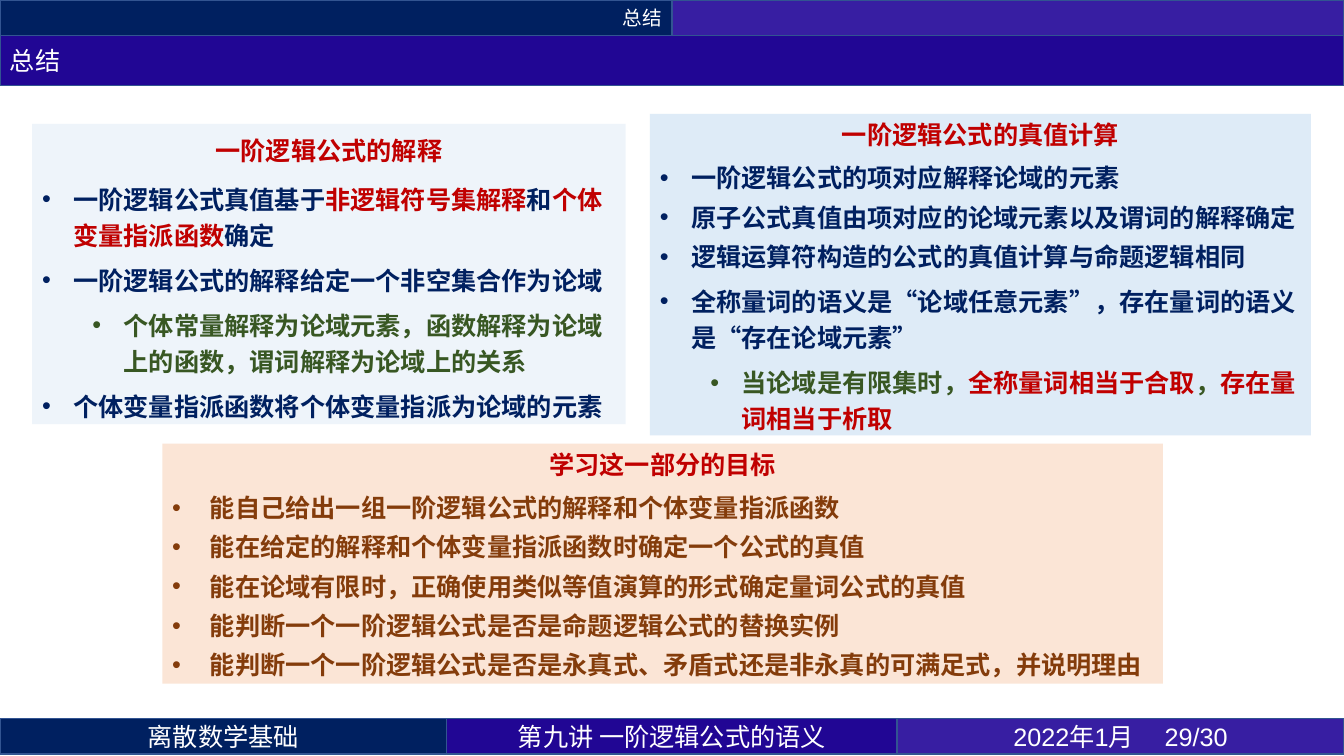
from lxml.etree import SubElement
from pptx import Presentation
from pptx.dml.color import RGBColor
from pptx.enum.lang import MSO_LANGUAGE_ID as Lang
from pptx.enum.shapes import MSO_SHAPE as Shape
from pptx.enum.text import MSO_ANCHOR as Anchor, MSO_AUTO_SIZE as AutoSize, PP_ALIGN as Align
from pptx.oxml.ns import qn
from pptx.util import Cm, Pt

CJK = "Noto Sans CJK SC"
NAVY, INDIGO, VIOLET = "002060", "210694", "371EA2"
RED, GREEN, BROWN = "C00000", "385723", "843C0B"
WHITE, PALE_BLUE, PEACH, EDGE = "FFFFFF", "DEEBF7", "FBE5D6", "325491"
WIDTH, HEIGHT, BAR = 33.87, 19.05, 0.89

deck = Presentation()
deck.slide_width, deck.slide_height = Cm(WIDTH), Cm(HEIGHT)
page = deck.slides.add_slide(deck.slide_layouts[6])


def add_box(left, top, width, height, color):
    box = page.shapes.add_shape(Shape.RECTANGLE, Cm(left), Cm(top), Cm(width), Cm(height))
    box.shadow.inherit = False
    box.fill.solid()
    box.fill.fore_color.rgb = RGBColor.from_string(color)
    box.text_frame.word_wrap = True
    return box


def add_span(para, text, color, size=18, bold=False, latin=CJK):
    span = para.add_run()
    span.text = text
    font = span.font
    font.size, font.bold = Pt(size), bold
    font.language_id = Lang.SIMPLIFIED_CHINESE
    font.color.rgb = RGBColor.from_string(color)
    font.name = latin
    SubElement(font._element, qn("a:ea")).set("typeface", CJK)


# Header, footer and title bars
half, side, foot = WIDTH / 2, 11.26, 18.11
bars = [
    (0, 0, half, BAR, NAVY, "总结", 14, Align.RIGHT, CJK),
    (half, 0, half, BAR, VIOLET, "", 14, Align.LEFT, CJK),
    (0, foot, side, BAR, NAVY, "离散数学基础", 18, Align.CENTER, CJK),
    (side, foot, WIDTH - 2 * side, BAR, INDIGO, "第九讲 一阶逻辑公式的语义", 18, Align.CENTER, CJK),
    (WIDTH - side, foot, side, BAR, VIOLET, "2022年1月 \t29/30", 18, Align.CENTER, "Arial"),
    (0, BAR, WIDTH, 1.27, INDIGO, "总结", 18, Align.LEFT, CJK),
]
for left, top, width, height, color, text, size, align, latin in bars:
    bar = add_box(left, top, width, height, color)
    bar.line.color.rgb = RGBColor.from_string(EDGE)
    bar.line.width = Pt(1)
    bar.text_frame.vertical_anchor = Anchor.MIDDLE
    para = bar.text_frame.paragraphs[0]
    para.alignment = align
    if text:
        add_span(para, text, WHITE, size, latin=latin)

# Panel contents: each bullet is (level, line spacing in points, spans)
TIGHT, LOOSE = 22, 26
interpretation = [
    (0, LOOSE, [("一阶逻辑公式真值基于", NAVY), ("非逻辑符号集解释", RED), ("和", NAVY),
                ("个体变量指派函数", RED), ("确定", NAVY)]),
    (0, LOOSE, [("一阶逻辑公式的解释给定一个非空集合作为论域", NAVY)]),
    (1, LOOSE, [("个体常量解释为论域元素，函数解释为论域上的函数，谓词解释为论域上的关系", GREEN)]),
    (0, LOOSE, [("个体变量指派函数将个体变量指派为论域的元素", NAVY)]),
]
truth_values = [
    (0, TIGHT, [("一阶逻辑公式的项对应解释论域的元素", NAVY)]),
    (0, TIGHT, [("原子公式真值由项对应的论域元素以及谓词的解释确定", NAVY)]),
    (0, TIGHT, [("逻辑运算符构造的公式的真值计算与命题逻辑相同", NAVY)]),
    (0, LOOSE, [("全称量词的语义是“论域任意元素”，存在量词的语义是“存在论域元素”", NAVY)]),
    (1, LOOSE, [("当论域是有限集时，", GREEN), ("全称量词相当于合取", RED), ("，", GREEN),
                ("存在量词相当于析取", RED)]),
]
goals = [(0, TIGHT, [(goal, BROWN)]) for goal in (
    "能自己给出一组一阶逻辑公式的解释和个体变量指派函数",
    "能在给定的解释和个体变量指派函数时确定一个公式的真值",
    "能在论域有限时，正确使用类似等值演算的形式确定量词公式的真值",
    "能判断一个一阶逻辑公式是否是命题逻辑公式的替换实例",
    "能判断一个一阶逻辑公式是否是永真式、矛盾式还是非永真的可满足式，并说明理由",
)]
panels = [
    ((0.81, 3.12, 14.96, 7.57), PALE_BLUE, 50, "一阶逻辑公式的解释", LOOSE, 0.79, interpretation),
    ((16.38, 2.87, 16.66, 8.1), PALE_BLUE, 100, "一阶逻辑公式的真值计算", TIGHT, 0.79, truth_values),
    ((4.09, 11.18, 25.22, 6.05), PEACH, 100, "学习这一部分的目标", TIGHT, 0.95, goals),
]

# Panels
for place, color, opacity, heading, heading_spacing, hanging, bullets in panels:
    panel = add_box(*place, color)
    panel.line.fill.background()
    if opacity < 100:
        tint = panel.fill._xPr.find(qn("a:solidFill"))[0]
        SubElement(tint, qn("a:alpha")).set("val", str(opacity * 1000))
    frame = panel.text_frame
    frame.auto_size = AutoSize.SHAPE_TO_FIT_TEXT
    frame.vertical_anchor = Anchor.TOP
    para = frame.paragraphs[0]
    para.alignment = Align.CENTER
    para.line_spacing, para.space_after = Pt(heading_spacing), Pt(9)
    add_span(para, heading, RED, bold=True)

    for level, spacing, spans in bullets:
        para = frame.add_paragraph()
        para.alignment, para.level = Align.LEFT, level
        props = para._p.get_or_add_pPr()
        props.set("marL", str(Cm(hanging + 1.27 * level)))
        props.set("indent", str(-Cm(hanging)))
        SubElement(props, qn("a:buFont")).set("typeface", "Arial")
        SubElement(props, qn("a:buChar")).set("char", "•")
        para.line_spacing, para.space_after = Pt(spacing), Pt(6)
        for text, span_color in spans:
            add_span(para, text, span_color, bold=True)

deck.save("out.pptx")
